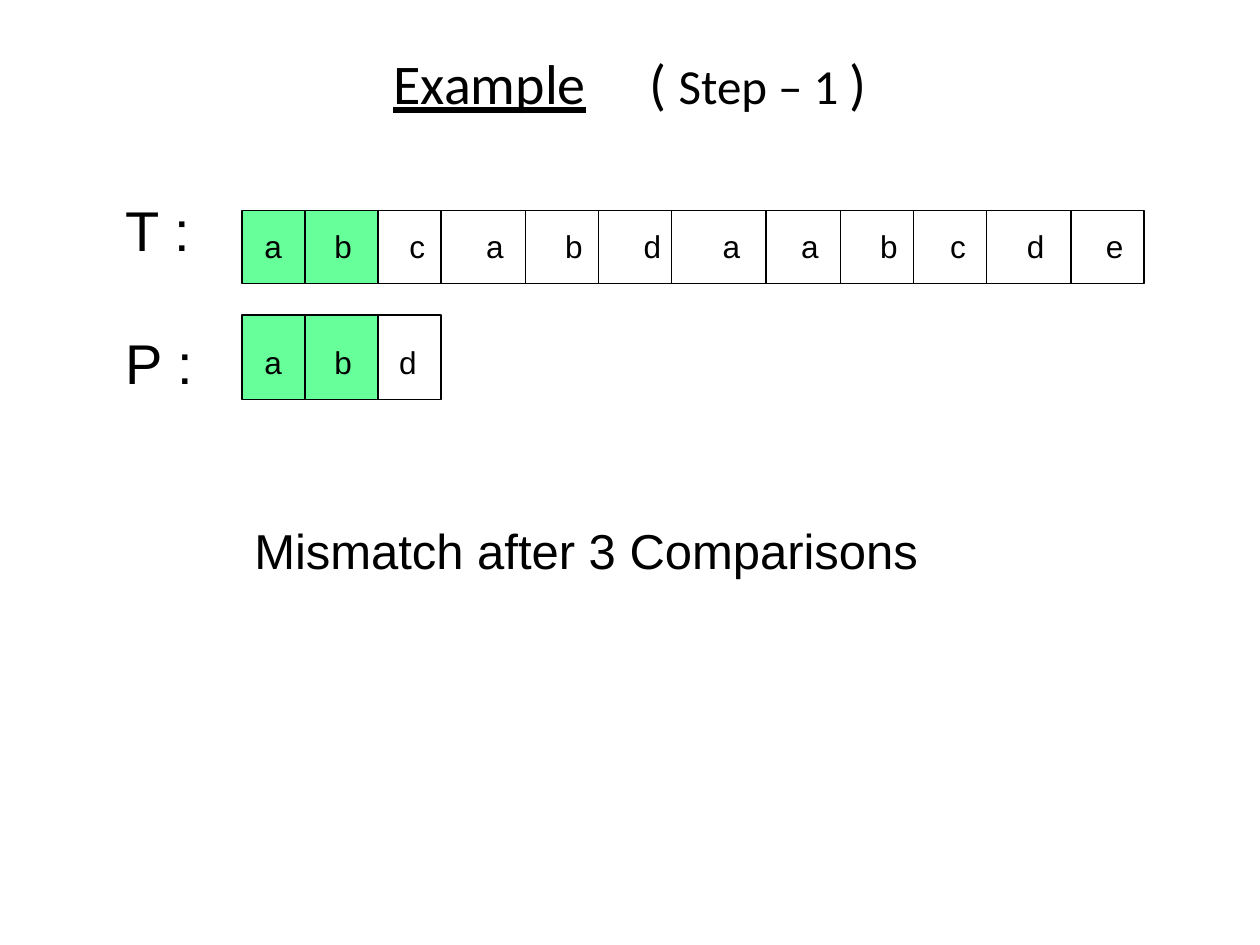
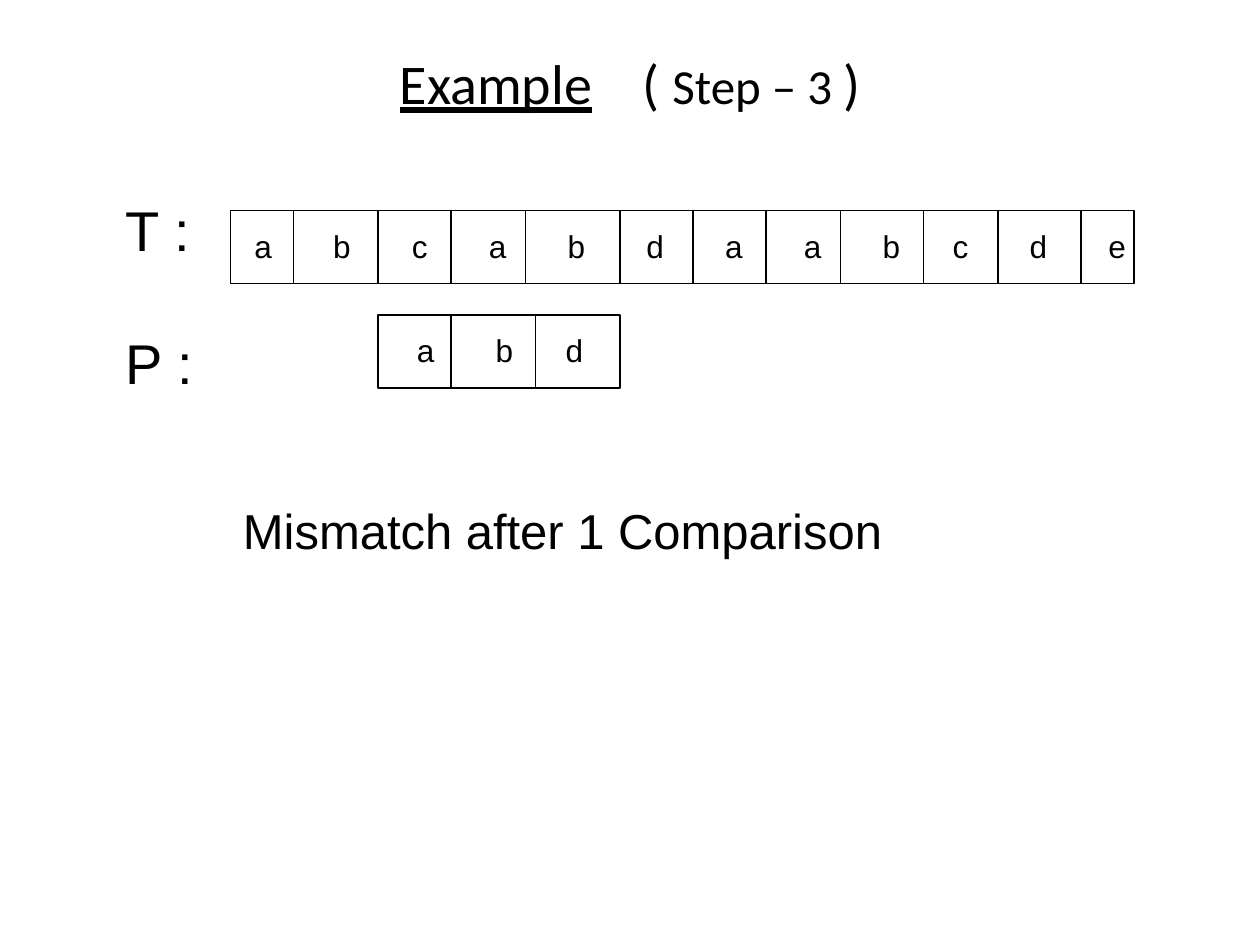
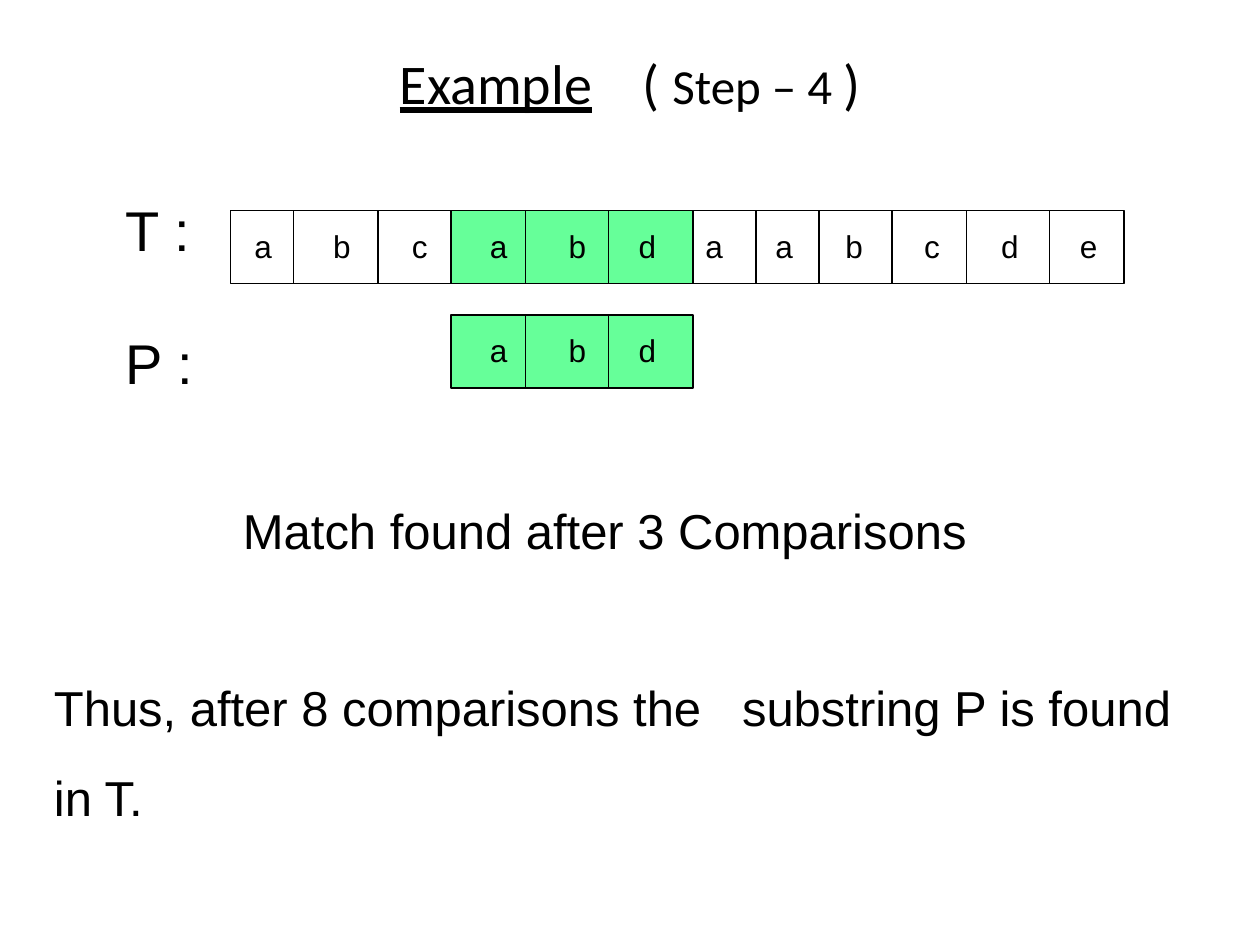
import pptx
import pptx.util
import pptx.dml.color
import pptx.enum.shapes
import pptx.enum.text
import pptx.oxml
import pptx.oxml.ns
import lxml.etree

Inches, Pt = pptx.util.Inches, pptx.util.Pt
ALIGN, ANCHOR = pptx.enum.text.PP_ALIGN, pptx.enum.text.MSO_ANCHOR

# ---- Shared style ----
COLORS = {"ink": "000000", "match": "66FF99"}
BODY, TITLE = "Arial", "Calibri"
LINE_PT = 0.74
LETTER_PT = 18
TEXT_TOP, PATTERN_TOP, ROW_H = 1.67, 2.5, 0.58
SPACE_W, LETTER_W = 5, 10             # widths in points at LETTER_PT
NARROW_W = {"c": 9}
INSET = 0.1

# ---- Content ----
# Strip: top, height, matched, cell edges, x of the first letter,
# letters, and the gap after each letter in spaces
SLIDES = [
    {"step": 1, "title_gap": 28.8,
     "strips": [
         (TEXT_TOP, ROW_H, False,
          [3, 3.5, 4.17, 4.75, 5.33, 6.08, 6.67, 7.25, 7.83, 8.5, 9.08],
          3.25, "cabdaabcde", [7, 7, 7, 7, 7, 7, 6, 7, 7]),
         (PATTERN_TOP, 0.67, True, [1.92, 2.42, 3], 2.1, "ab", [6]),
         (PATTERN_TOP, 0.67, False, [3, 3.5], 3.17, "d", []),
         (TEXT_TOP, ROW_H, True, [1.92, 2.42, 3], 2.1, "ab", [6])],
     "result": (1.92, 4.08, "Mismatch after 3 Comparisons")},
    {"step": 3, "title_gap": 21.6,
     "strips": [
         (TEXT_TOP, ROW_H, False,
          [1.83, 2.33, 3, 3.58, 4.17, 4.92, 5.5, 6.08, 6.67, 7.33, 7.92, 8.58, 9],
          2.02, "abcabdaabcde", [7, 7, 7, 7, 7, 7, 7, 7, 6, 7, 7]),
         (PATTERN_TOP, ROW_H, False, [3, 3.58, 4.25, 4.92], 3.31, "abd", [7, 6])],
     "result": (1.83, 3.92, "Mismatch after 1 Comparison")},
    {"step": 4, "title_gap": 21.6,
     "strips": [
         (TEXT_TOP, ROW_H, False, [1.83, 2.33, 3, 3.58], 2.02, "abc", [7, 7]),
         (PATTERN_TOP, ROW_H, True, [3.58, 4.17, 4.83, 5.5], 3.89, "abd", [7, 6]),
         (TEXT_TOP, ROW_H, True, [3.58, 4.17, 4.83, 5.5], 3.89, "abd", [7, 6]),
         (TEXT_TOP, ROW_H, False, [5.5, 6, 6.5, 7.08, 7.67, 8.33, 8.92],
          5.6, "aabcde", [6, 6, 7, 7, 7])],
     "result": (1.83, 3.92, "Match found after 3 Comparisons"),
     "conclusion": [[("Thus, after 8 comparisons the", {}), (" ", {"spc": 15.6}),
                     ("substring P is found ", {})],
                    [("in T.", {})]]},
]


# ---- Helpers ----
def rgb(name):
    return pptx.dml.color.RGBColor.from_string(COLORS[name])


def add_text(s, box, paragraphs, size, font=BODY, gap=0, wrap=True):
    """Each paragraph is a list of (text, options) runs."""
    tf = s.shapes.add_textbox(*map(Inches, box)).text_frame
    tf.word_wrap = wrap
    for i, runs in enumerate(paragraphs):
        p = tf.paragraphs[0] if i == 0 else tf.add_paragraph()
        if i:
            p.space_before = Pt(gap)
        for text, options in runs:
            r = p.add_run()
            r.text = text
            r.font.name = font
            r.font.size = Pt(options.get("size", size))
            r.font.color.rgb = rgb("ink")
            if options.get("underline"):
                r.font.underline = True
            if "spc" in options:      # letter spacing widens a single space
                r._r.get_or_add_rPr().set("spc", str(round(options["spc"] * 100)))
    return tf


def add_tab_stops(p, stops):
    qn = pptx.oxml.ns.qn
    tabs = lxml.etree.SubElement(p._p.get_or_add_pPr(), qn("a:tabLst"))
    for points in stops:
        lxml.etree.SubElement(tabs, qn("a:tab"), pos=str(Pt(points)), algn="l")


def add_divider(s, x, top, bottom):
    c = s.shapes.add_connector(pptx.enum.shapes.MSO_CONNECTOR.STRAIGHT,
                               Inches(x), Inches(top), Inches(x), Inches(bottom))
    c.line.color.rgb = rgb("ink")
    c.line.width = Pt(LINE_PT)
    lxml.etree.SubElement(c._element.spPr, pptx.oxml.ns.qn("a:effectLst"))


def add_strip(s, top, height, matched, edges, first_x, letters, gaps):
    left, right, bottom = edges[0], edges[-1], top + height
    frame = s.shapes.add_shape(pptx.enum.shapes.MSO_SHAPE.RECTANGLE,
                               Inches(left), Inches(top),
                               Inches(right - left), Inches(height))
    frame.shadow.inherit = False
    frame.line.color.rgb = rgb("ink")
    frame.line.width = Pt(LINE_PT)
    if matched:
        frame.fill.solid()
        frame.fill.fore_color.rgb = rgb("match")
    else:
        frame.fill.background()
    for x in edges[1:-1]:
        add_divider(s, x, top, bottom)

    # Letters sit on tab stops; the box reaches past the frame by its insets
    stops, x = [], 0
    for letter, spaces in zip(letters, gaps):
        x += NARROW_W.get(letter, LETTER_W) + spaces * SPACE_W
        stops.append(x)
    box = (first_x - INSET, bottom - 0.5, right - first_x + 2 * INSET, 0.4)
    tf = add_text(s, box, [[("\t".join(letters), {})]], LETTER_PT, wrap=False)
    if stops:
        add_tab_stops(tf.paragraphs[0], stops)


def add_title(s, step, gap):
    runs = [("Example", {"underline": True}), (" ", {"spc": gap}), ("( ", {}),
            (f"Step – {step} ", {"size": 28}), (")", {})]
    tf = add_text(s, (0.5, 0.3, 9, 0.7), [runs], 32, TITLE)
    tf.vertical_anchor = ANCHOR.MIDDLE
    tf.paragraphs[0].alignment = ALIGN.CENTER


# ---- Build ----
prs = pptx.Presentation()
prs.slide_width, prs.slide_height = Inches(10), Inches(7.5)

for content in SLIDES:
    s = prs.slides.add_slide(prs.slide_layouts[6])
    add_title(s, content["step"], content["title_gap"])
    add_text(s, (0.9, 1.5, 0.77, 1.7), [[("T : ", {})], [("P : ", {})]], 32, gap=38)
    for strip in content["strips"]:
        add_strip(s, *strip)
    left, top, result = content["result"]
    add_text(s, (left, top, 6.75, 0.57), [[(result, {})]], 28)
    if "conclusion" in content:
        add_text(s, (0.33, 5.33, 9.67, 1.28), content["conclusion"], 28, gap=17.5)

prs.save("out.pptx")
